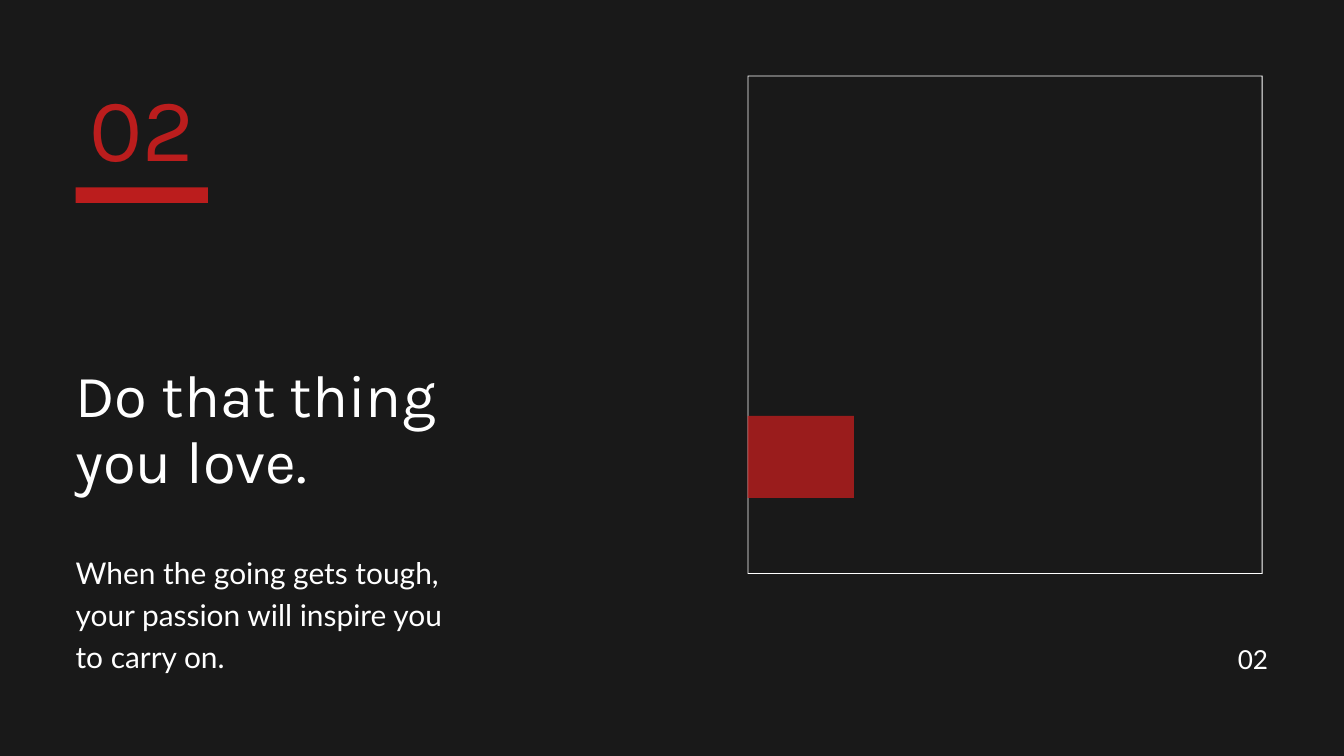
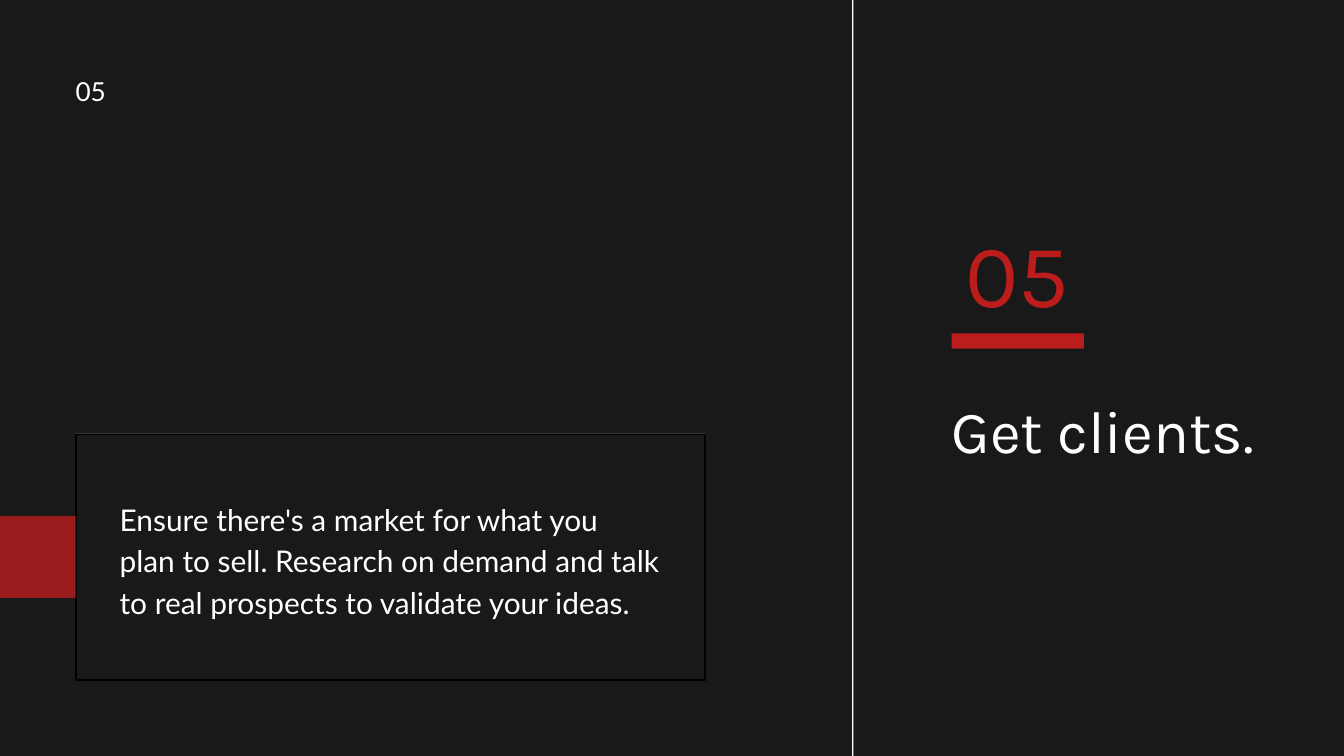
from collections import namedtuple

from lxml.etree import SubElement
from pptx import Presentation
from pptx.dml.color import RGBColor
from pptx.enum.shapes import MSO_SHAPE
from pptx.enum.text import MSO_AUTO_SIZE, PP_ALIGN
from pptx.oxml.ns import qn
from pptx.util import Inches, Pt

DARK = RGBColor(0x19, 0x19, 0x19)
RED = RGBColor(0xBB, 0x1D, 0x1D)
WHITE = RGBColor(0xFF, 0xFF, 0xFF)
BLACK = RGBColor(0x00, 0x00, 0x00)

# Grid of 160 columns by 90 rows; all lengths below are in grid units
COLS, ROWS = 160, 90
WIDTH, HEIGHT = Inches(20), Inches(11.25)
UNIT = WIDTH / COLS
MARGIN = 9
MARKER_W, MARKER_H = 12.64, 9.76
BADGE_W = 15.76
FRAME_EDGE = 0.1

Box = namedtuple("Box", "x y w h")
Style = namedtuple("Style", "font size leading color")

TITLE = Style("Karla", 64, 70.4, WHITE)
BODY = Style("Lato", 32, 44.8, WHITE)
PAGE = Style("Lato", 28, 30.8, WHITE)
NUMBER = Style("Karla", 96, 105.6, RED)


def grid(*lengths):
    return [round(n * UNIT) for n in lengths]


def add_text(s, box, text, style, align=PP_ALIGN.LEFT):
    tf = s.shapes.add_textbox(*grid(*box)).text_frame
    tf.margin_left = tf.margin_top = tf.margin_right = tf.margin_bottom = 0
    tf.word_wrap = True
    tf.auto_size = MSO_AUTO_SIZE.SHAPE_TO_FIT_TEXT
    tf.text = text
    p = tf.paragraphs[0]
    p.alignment = align
    p.line_spacing = Pt(style.leading)
    font = p.runs[0].font
    font.name, font.size = style.font, Pt(style.size)
    font.color.rgb = style.color


def add_block(s, box, color, opacity=100):
    sp = s.shapes.add_shape(MSO_SHAPE.RECTANGLE, *grid(*box))
    sp.shadow.inherit = False
    sp.fill.solid()
    sp.fill.fore_color.rgb = color
    sp.line.fill.background()
    if opacity < 100:
        clr = sp.fill._xPr.find(qn("a:solidFill"))[0]
        SubElement(clr, qn("a:alpha")).set("val", str(opacity * 1000))


def add_frame(s, box, line_color=None):
    """Thin hollow frame: an outer outline with an inner one cut out."""
    def corners(inset):
        left, top = box.x + inset, box.y + inset
        right, bottom = box.x + box.w - inset, box.y + box.h - inset
        return [grid(*pt) for pt in
                ((right, top), (left, top), (left, bottom), (right, bottom))]

    outer, inner = corners(0), corners(FRAME_EDGE)
    fb = s.shapes.build_freeform(*outer[0])
    fb.add_line_segments(outer[1:], close=True)
    fb.move_to(*inner[0])
    fb.add_line_segments(inner[1:], close=True)
    sp = fb.convert_to_shape()
    sp.shadow.inherit = False
    sp.fill.solid()
    sp.fill.fore_color.rgb = WHITE
    if line_color is None:
        sp.line.fill.background()
    else:
        sp.line.color.rgb = line_color
        sp.line.width = Pt(0.75)


def add_marker(s, x, y):
    add_block(s, Box(x, y, MARKER_W, MARKER_H), RED, opacity=80)


def add_badge(s, x, y, number):
    """Large section number above a red bar."""
    add_block(s, Box(x, y + 12.72, BADGE_W, 1.84), RED)
    add_text(s, Box(x, y, BADGE_W, 12.24), number, NUMBER, PP_ALIGN.CENTER)


def add_page_number(s, x, y, number, align=PP_ALIGN.LEFT):
    add_text(s, Box(x, y, 12.64, 3.44), number, PAGE, align)


def new_slide(prs):
    s = prs.slides.add_slide(prs.slide_layouts[6])
    s.background.fill.solid()
    s.background.fill.fore_color.rgb = DARK
    return s


def framed_slide(prs, number, title, body):
    s = new_slide(prs)
    # Left column: title, body and badge
    add_text(s, Box(MARGIN, 43.36, 54.4, 15.92), title, TITLE)
    add_text(s, Box(MARGIN, 65.36, 45.68, 14.32), body, BODY)
    add_page_number(s, 138.32, 76.96, number, PP_ALIGN.RIGHT)
    add_badge(s, MARGIN, 9.6, number)
    # Right column: frame with the marker inside its left edge
    frame = Box(89, MARGIN, 61.3, 59.32)
    add_frame(s, frame)
    add_marker(s, frame.x, frame.y + 40.52)


def split_slide(prs, number, title, body):
    s = new_slide(prs)
    # Left panel: framed body text
    frame = Box(MARGIN, 51.66, 75, 29.34)
    add_frame(s, frame, BLACK)
    add_text(s, Box(frame.x + 5.24, frame.y + 7.3, 64.48, 14.32), body, BODY)
    add_page_number(s, MARGIN, 9.28, number)
    # Right panel: title and badge
    panel_x = 113.28
    add_text(s, Box(panel_x, 47.6, 37.68, 15.92), title, TITLE)
    add_badge(s, panel_x, 26.96, number)
    # Marker ends at the frame; the divider bleeds past both edges
    add_marker(s, frame.x - MARKER_W, frame.y + MARKER_H)
    bleed = 2.32
    add_block(s, Box(101.44, -bleed, 0.16, ROWS + 2 * bleed), WHITE)


def main():
    prs = Presentation()
    prs.slide_width, prs.slide_height = WIDTH, HEIGHT
    framed_slide(prs, "02", "Do that thing you love.",
                 "When the going gets tough, your passion will inspire you "
                 "to carry on.")
    split_slide(prs, "05", "Get clients.",
                "Ensure there's a market for what you plan to sell. Research "
                "on demand and talk to real prospects to validate your ideas.")
    prs.save("out.pptx")


if __name__ == "__main__":
    main()
